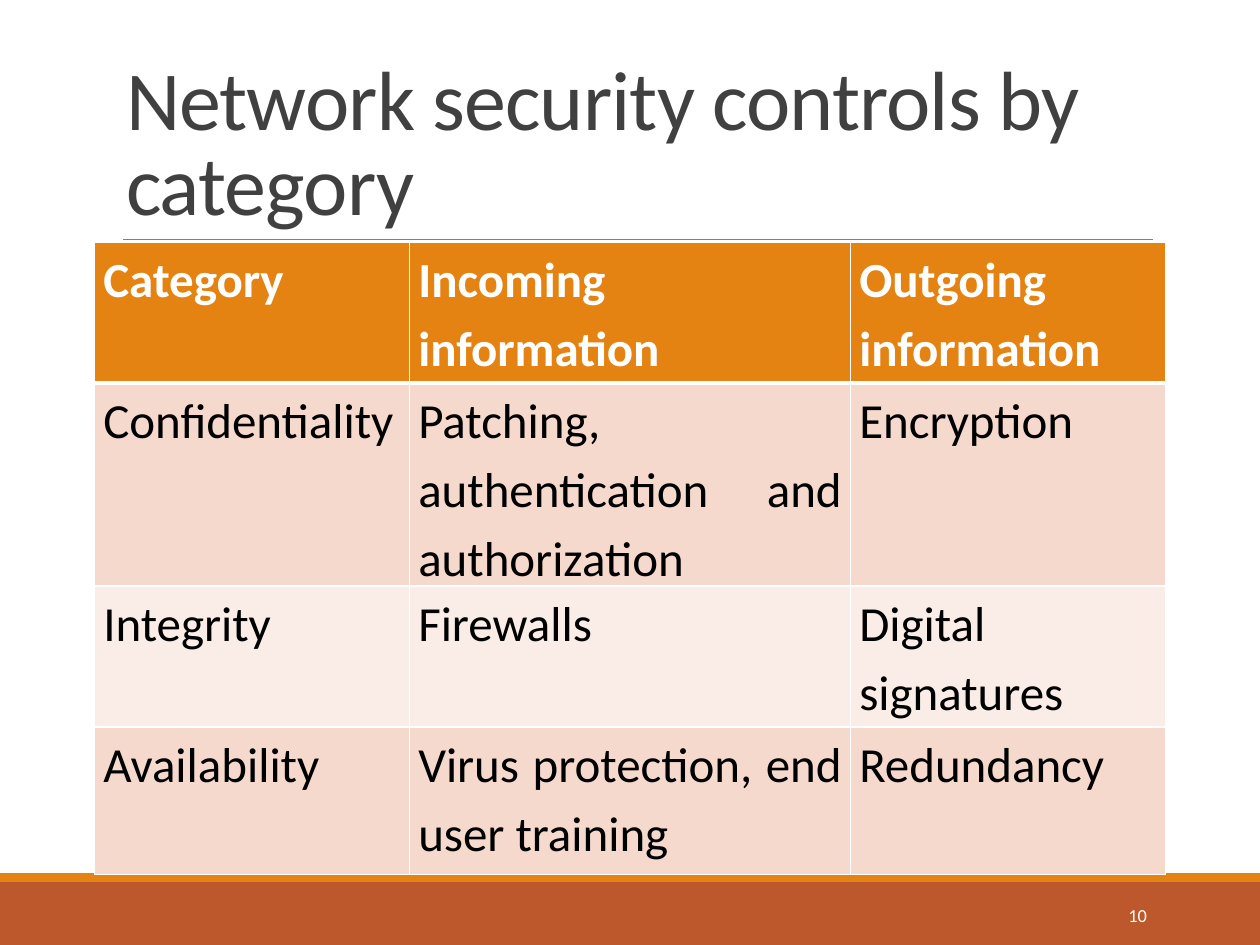
"""Build the slide on network security controls by category."""
from dataclasses import dataclass

import pptx
import pptx.dml.color
import pptx.enum.shapes
import pptx.enum.text
import pptx.oxml
import pptx.oxml.ns
import pptx.util
from pptx.util import Inches, Pt

ALIGN = pptx.enum.text.PP_ALIGN
ANCHOR = pptx.enum.text.MSO_ANCHOR


@dataclass(frozen=True)
class Bar:
    """A full-width footer band."""
    top: float
    height: float
    color: str


@dataclass(frozen=True)
class RowStyle:
    """The look of one table row."""
    fill: str
    color: str = "000000"
    bold: bool = False
    top: float = 1
    bottom: float = 1


BARS = [Bar(7, 0.5, "BD582C"), Bar(6.93, 0.07, "E48312")]
COL_WIDTHS = [2.5, 3.5, 2.5]
ROW_HEIGHTS = [1.12, 1.17, 1.12, 1.17]
ROWS = [
    ["Category", "Incoming information", "Outgoing information"],
    ["Confidentiality", "Patching, authentication and authorization", "Encryption"],
    ["Integrity", "Firewalls", "Digital signatures"],
    ["Availability", "Virus protection, end user training", "Redundancy"],
]
STYLES = [
    RowStyle("E48312", "FFFFFF", True, bottom=3),
    RowStyle("F5D9CC", top=3),
    RowStyle("FAEDE7"),
    RowStyle("F5D9CC"),
]


def rgb(value: str) -> pptx.dml.color.RGBColor:
    """Return the colour for a hex string."""
    return pptx.dml.color.RGBColor.from_string(value)


def format_text(tf, size: float, color: str, align, spacing: float = 1, bold: bool = False) -> None:
    """Format every paragraph and run of a text frame."""
    for p in tf.paragraphs:
        p.alignment = align
        p.line_spacing = spacing
        for r in p.runs:
            r.font.name = "Calibri"
            r.font.size = Pt(size)
            r.font.bold = bold
            r.font.color.rgb = rgb(color)


def add_bar(s, bar: Bar) -> None:
    """Draw a footer band."""
    sp = s.shapes.add_shape(pptx.enum.shapes.MSO_SHAPE.RECTANGLE,
                            0, Inches(bar.top), Inches(10), Inches(bar.height))
    sp.shadow.inherit = False
    sp.fill.solid()
    sp.fill.fore_color.rgb = rgb(bar.color)
    sp.line.fill.background()


def add_rule(s) -> None:
    """Draw the thin line under the title."""
    line = s.shapes.add_connector(pptx.enum.shapes.MSO_CONNECTOR.STRAIGHT,
                                  Inches(0.98), Inches(1.9), Inches(9.15), Inches(1.9))
    line.line.color.rgb = rgb("808080")
    line.line.width = Pt(0.5)
    pptx.oxml.ns.qn("a:effectLst")
    line._element.spPr.append(pptx.oxml.parse_xml(
        f'<a:effectLst {pptx.oxml.ns.nsdecls("a")}/>'))


def set_title(s, text: str) -> None:
    """Place and format the title."""
    sp = s.shapes.title
    sp.left, sp.top, sp.width, sp.height = map(Inches, (0.9, 0.31, 8.25, 1.59))
    tf = sp.text_frame
    tf.text = text
    tf.word_wrap = True
    tf.auto_size = pptx.enum.text.MSO_AUTO_SIZE.NONE
    tf.vertical_anchor = ANCHOR.BOTTOM
    format_text(tf, 48, "404040", ALIGN.LEFT, 0.85)
    tf.paragraphs[0].runs[0]._r.get_or_add_rPr().set("spc", "-50")


def add_number(s, text: str) -> None:
    """Add the slide number."""
    tf = s.shapes.add_textbox(*map(Inches, (8.12, 7.06, 1.08, 0.4))).text_frame
    tf.text = text
    tf.word_wrap = True
    tf.vertical_anchor = ANCHOR.MIDDLE
    format_text(tf, 10.5, "FFFFFF", ALIGN.RIGHT)


def set_borders(cell, style: RowStyle) -> None:
    """Give a cell white borders."""
    tcPr = cell._tc.get_or_add_tcPr()
    for side, width in zip("LRTB", (1, 1, style.top, style.bottom)):
        tcPr.append(pptx.oxml.parse_xml(
            f'<a:ln{side} {pptx.oxml.ns.nsdecls("a")} w="{Pt(width)}">'
            f'<a:solidFill><a:srgbClr val="FFFFFF"/></a:solidFill></a:ln{side}>'))


def fill_cell(cell, text: str, style: RowStyle) -> None:
    """Write and format one table cell."""
    set_borders(cell, style)
    cell.fill.solid()
    cell.fill.fore_color.rgb = rgb(style.fill)
    cell.margin_left = cell.margin_right = Inches(0.07)
    cell.margin_top = cell.margin_bottom = 0
    cell.text_frame.text = text
    format_text(cell.text_frame, 28, style.color, ALIGN.JUSTIFY, 1.15, style.bold)


def add_controls_table(s) -> None:
    """Add the table of security controls."""
    table = s.shapes.add_table(len(ROWS), len(COL_WIDTHS), Inches(0.75), Inches(1.92),
                               Inches(sum(COL_WIDTHS)), Inches(sum(ROW_HEIGHTS))).table
    for column, width in zip(table.columns, COL_WIDTHS):
        column.width = Inches(width)
    for row, height, texts, style in zip(table.rows, ROW_HEIGHTS, ROWS, STYLES):
        row.height = Inches(height)
        for cell, text in zip(row.cells, texts):
            fill_cell(cell, text, style)


def main() -> None:
    """Build and save the presentation."""
    prs = pptx.Presentation()
    prs.slide_width, prs.slide_height = Inches(10), Inches(7.5)
    s = prs.slides.add_slide(prs.slide_layouts[5])
    for bar in BARS:
        add_bar(s, bar)
    add_rule(s)
    set_title(s, "Network security controls by category")
    add_number(s, "10")
    add_controls_table(s)
    prs.save("out.pptx")


if __name__ == "__main__":
    main()
